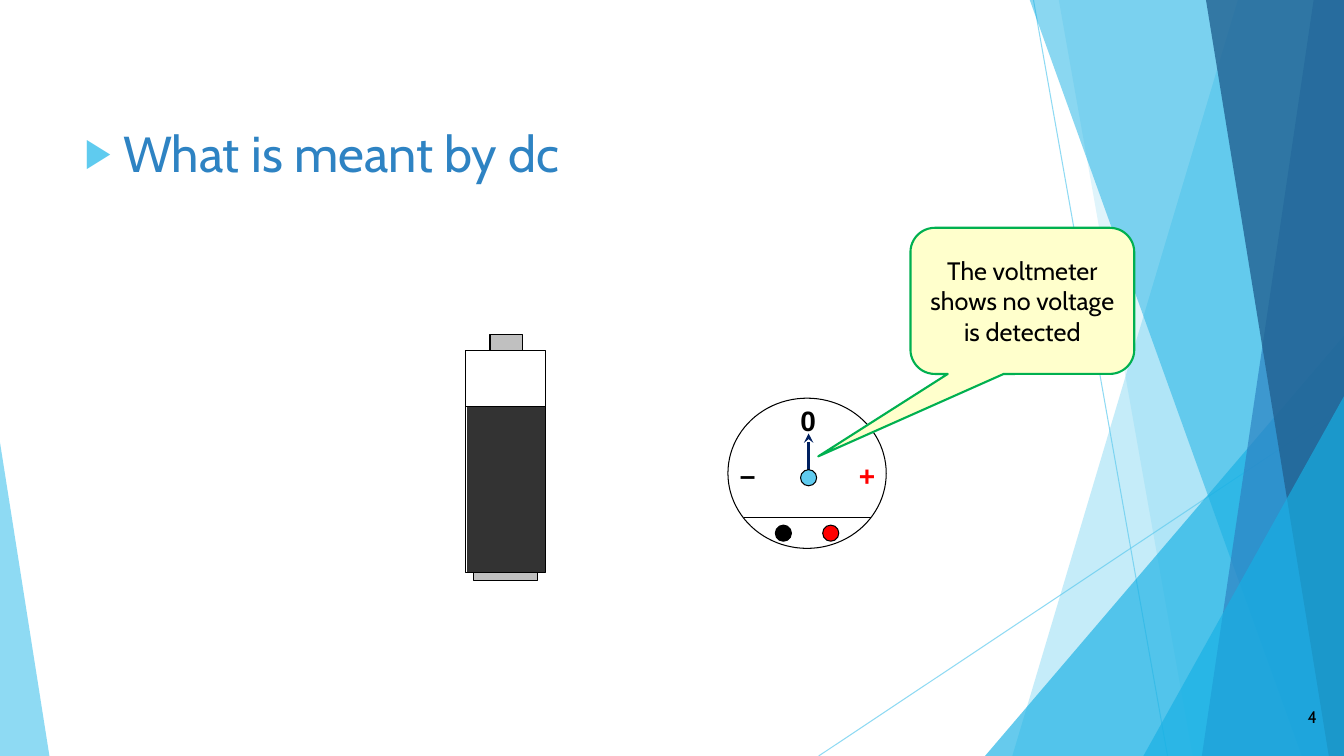
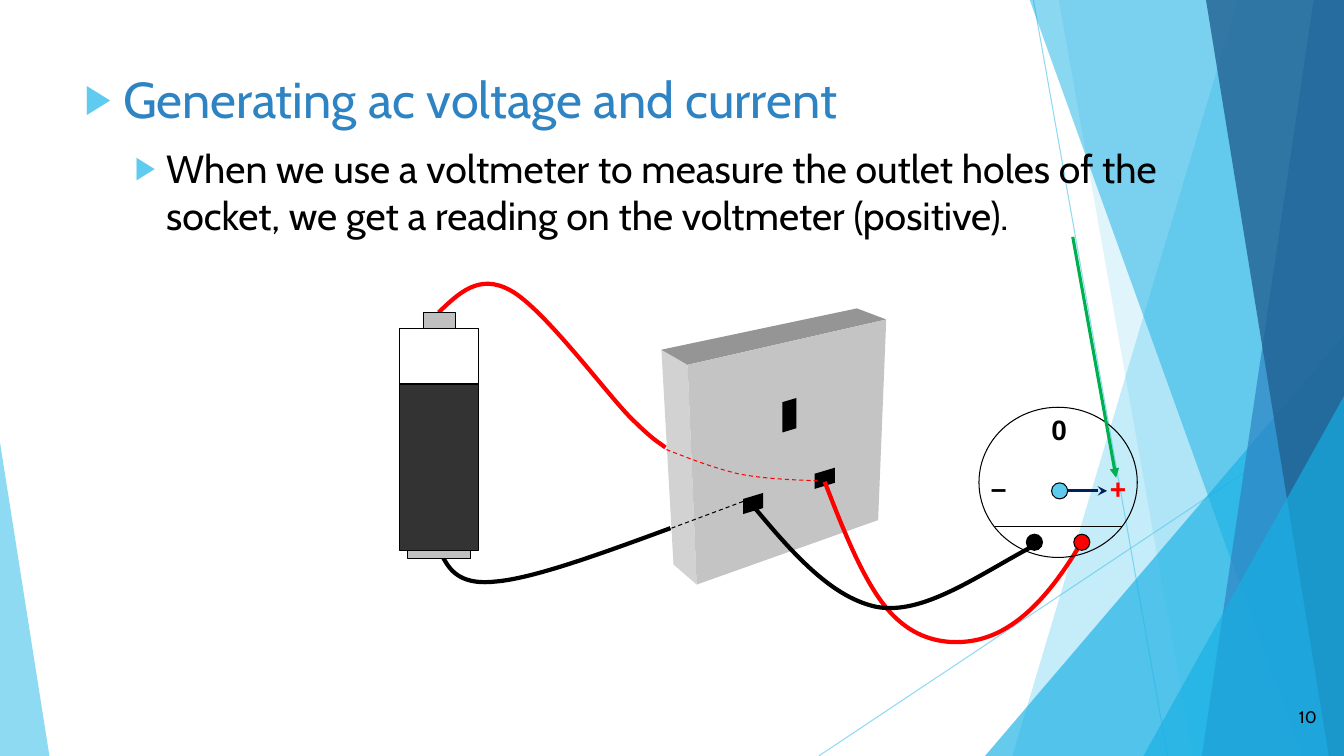
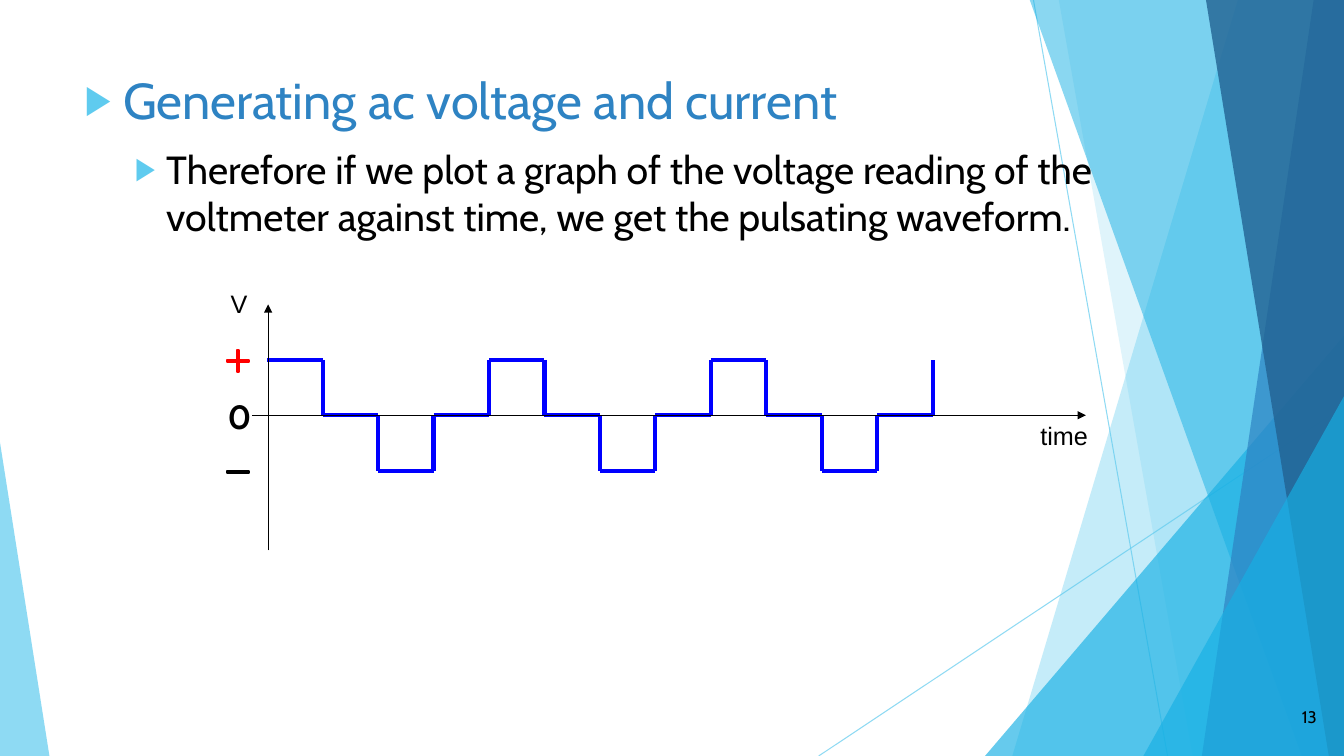
from dataclasses import dataclass
from itertools import pairwise

from lxml import etree
from pptx import Presentation
from pptx.dml.color import RGBColor
from pptx.enum.dml import MSO_LINE, MSO_PATTERN
from pptx.enum.shapes import MSO_CONNECTOR, MSO_SHAPE
from pptx.enum.text import MSO_ANCHOR, MSO_AUTO_SIZE, PP_ALIGN
from pptx.oxml.ns import qn
from pptx.util import Inches, Pt

RECTANGLE, ELLIPSE, TRIANGLE = MSO_SHAPE.RECTANGLE, MSO_SHAPE.OVAL, MSO_SHAPE.ISOSCELES_TRIANGLE
CALLOUT = MSO_SHAPE.ROUNDED_RECTANGULAR_CALLOUT
PLUS, MINUS = MSO_SHAPE.MATH_PLUS, MSO_SHAPE.MATH_MINUS
STRAIGHT = MSO_CONNECTOR.STRAIGHT
DASH = MSO_LINE.DASH
DARK_VERTICAL = MSO_PATTERN.DARK_VERTICAL
LEFT, CENTER, RIGHT = PP_ALIGN.LEFT, PP_ALIGN.CENTER, PP_ALIGN.RIGHT
TOP, MIDDLE = MSO_ANCHOR.TOP, MSO_ANCHOR.MIDDLE
NO_AUTOFIT = MSO_AUTO_SIZE.NONE


@dataclass(frozen=True)
class Theme:
    white: str = "FFFFFF"
    black: str = "000000"
    red: str = "FF0000"
    sky: str = "5FCBEF"
    cyan: str = "17B0E4"
    blue: str = "2E83C3"
    deep_blue: str = "226292"
    navy: str = "002060"
    wave: str = "0000FF"
    green: str = "00B050"
    note: str = "FFFFCC"
    metal: str = "C0C0C0"
    battery: str = "333333"
    socket_front: str = "C4C4C4"
    socket_side: str = "D2D2D2"
    socket_top: str = "959595"
    thin: float = 0.75
    outline: float = 1.5
    arrow: float = 2.25
    thick: float = 3


THEME = Theme()

TEXT_STYLES = {
    "heading": {"name": "Cabin", "size": Pt(36), "bold": False},
    "body": {"name": "Cabin", "size": Pt(28), "bold": False},
    "note": {"name": "Cabin", "size": Pt(18), "bold": False},
    "number": {"name": "Cabin", "size": Pt(12), "bold": False},
    "dial": {"name": "Arial", "size": Pt(20), "bold": True},
    "axis": {"name": "Arial", "size": Pt(18), "bold": False},
    "zero": {"name": "Cabin", "size": Pt(24), "bold": True},
}


def rgb(color):
    return RGBColor.from_string(color)


def inches(values):
    return [Inches(value) for value in values]


def fade(item, percent):
    for color in item.element.iter(qn("a:srgbClr")):
        etree.SubElement(color, qn("a:alpha"), val=str(percent * 1000))


def paint(shape, fill=None, line=None, width=THEME.thin):
    shape.shadow.inherit = False
    if fill:
        shape.fill.solid()
        shape.fill.fore_color.rgb = rgb(fill)
    else:
        shape.fill.background()
    if line:
        shape.line.color.rgb = rgb(line)
        shape.line.width = Pt(width)
    else:
        shape.line.fill.background()
    return shape


def add_preset(shapes, kind, box, fill=None, line=None, width=THEME.thin, adjustments=()):
    shape = shapes.add_shape(kind, *inches(box))
    for index, value in enumerate(adjustments):
        shape.adjustments[index] = value
    return paint(shape, fill, line, width)


def trace(shapes, points, close):
    start, *rest = [inches(point) for point in points]
    builder = shapes.build_freeform(*start, scale=1.0)
    builder.add_line_segments(rest, close=close)
    return builder.convert_to_shape()


def add_polygon(shapes, points, fill):
    return paint(trace(shapes, points, True), fill)


def add_curve(shapes, points, color, width=THEME.thick, dash=None):
    curve = paint(trace(shapes, points, False), None, color, width)
    if dash:
        curve.line.dash_style = dash
    segments = list(curve.element.iter(qn("a:lnTo")))
    outline = segments[0].getparent()
    for first in range(0, len(segments), 3):
        bezier = etree.SubElement(outline, qn("a:cubicBezTo"))
        for segment in segments[first:first + 3]:
            bezier.append(segment[0])
            outline.remove(segment)


def add_line(shapes, start, end, color, width=THEME.thin, dash=None, head=None):
    line = shapes.add_connector(STRAIGHT, *inches([*start, *end]))
    line.line.color.rgb = rgb(color)
    line.line.width = Pt(width)
    if dash:
        line.line.dash_style = dash
    properties = line.element.find(qn("p:spPr"))
    if head:
        etree.SubElement(properties.find(qn("a:ln")), qn("a:tailEnd"), type=head)
    etree.SubElement(properties, qn("a:effectLst"))
    return line


def write(holder, text, style, color, align=LEFT, anchor=TOP):
    frame = holder.text_frame
    frame_format = {"word_wrap": True, "auto_size": NO_AUTOFIT, "vertical_anchor": anchor}
    for name, value in frame_format.items():
        setattr(frame, name, value)
    paragraph = frame.paragraphs[0]
    paragraph.alignment = align
    run = paragraph.add_run()
    run.text = text
    for name, value in TEXT_STYLES[style].items():
        setattr(run.font, name, value)
    run.font.color.rgb = rgb(color)
    return paragraph


def add_label(shapes, box, text, style, color=THEME.black, align=LEFT, anchor=TOP):
    return write(shapes.add_textbox(*inches(box)), text, style, color, align, anchor)


def add_bullet(paragraph, margin, hanging):
    properties = paragraph._p.get_or_add_pPr()
    properties.set("marL", str(Inches(margin)))
    properties.set("indent", str(-Inches(hanging)))
    bullet_color = etree.SubElement(properties, qn("a:buClr"))
    etree.SubElement(bullet_color, qn("a:srgbClr"), val=THEME.sky)
    etree.SubElement(properties, qn("a:buSzPct"), val="80000")
    etree.SubElement(properties, qn("a:buFont"), typeface="Arial")
    etree.SubElement(properties, qn("a:buChar"), char="▶")


def add_backdrop(slide, layout):
    group = slide.shapes.add_group_shape()
    shapes = group.shapes
    for start, end in (((10.25, 0), (11.58, 7.5)), ((13.33, 4.03), (8.12, 7.5))):
        fade(add_line(shapes, start, end, THEME.sky), 70)

    def band(top_left, bottom_left, color, opacity):
        corners = [(top_left, -0.01), (13.33, -0.01), (13.33, 7.5), (bottom_left, 7.5)]
        fade(add_polygon(shapes, corners, color), opacity)

    def wedge(box, color, opacity, apex):
        fade(add_preset(shapes, TRIANGLE, box, color, adjustments=[apex]), opacity)

    band(12.28, 10.04, THEME.sky, 36)
    band(10.5, 11.83, THEME.sky, 20)
    wedge((9.77, 3.33, 3.56, 4.17), THEME.cyan, 66, 1)
    band(10.21, 12.91, THEME.cyan, 50)
    band(13.03, 11.92, THEME.blue, 70)
    band(11.96, 13.18, THEME.deep_blue, 80)
    wedge((11.34, 3.93, 1.99, 3.57), THEME.cyan, 66, 1)
    wedge((0, 4.39, 0.49, 3.11), THEME.sky, 70, 0)
    layout.shapes.element.insert(2, group.element)


def add_page(deck, layout, heading, top, number, body=None):
    slide = deck.slides.add_slide(layout)
    title = slide.shapes.title
    title.left, title.top, title.width, title.height = inches((0.74, top, 11.31, 0.7))
    add_bullet(write(title, heading, "heading", THEME.blue), 0.38, 0.38)
    if body:
        add_bullet(add_label(slide.shapes, (0.74, top + 0.75, 11.31, 1.1), body, "body"), 0.81, 0.31)
    add_label(slide.shapes, (12.41, 6.91, 0.75, 0.4), number, "number", align=RIGHT, anchor=MIDDLE)
    return slide


def add_battery(shapes, left, top):
    parts = [
        (0, 0, 0.79, 0.55, THEME.white),
        (0.24, -0.16, 0.32, 0.16, THEME.metal),
        (0.08, 2.2, 0.63, 0.08, THEME.metal),
        (0, 0.55, 0.79, 1.65, THEME.battery),
    ]
    for x, y, width, height, color in parts:
        part = add_preset(shapes, RECTANGLE, (left + x, top + y, width, height), color, THEME.black)
    part.fill.patterned()
    part.fill.pattern = DARK_VERTICAL
    part.fill.fore_color.rgb = rgb(THEME.battery)
    part.fill.back_color.rgb = rgb(THEME.white)


def add_voltmeter(shapes, left, top, hub_drop, needle):
    hub = (left + 0.8, top + hub_drop)
    add_preset(shapes, ELLIPSE, (left, top, 1.57, 1.49), line=THEME.black)
    marks = [
        (0.02, hub_drop - 0.25, "–", THEME.black, LEFT),
        (0.56, 0, "0", THEME.black, CENTER),
        (1.09, hub_drop - 0.24, "+", THEME.red, RIGHT),
    ]
    for x, y, mark, color, align in marks:
        add_label(shapes, (left + x, top + y, 0.47, 0.43), mark, "dial", color, align)
    tip = (hub[0] + needle[0], hub[1] + needle[1])
    add_line(shapes, hub, tip, THEME.navy, THEME.arrow, head="stealth")
    add_line(shapes, (left + 0.16, top + 1.18), (left + 1.42, top + 1.18), THEME.black)
    knobs = [
        (*hub, THEME.sky),
        (left + 0.55, top + 1.34, THEME.black),
        (left + 1.02, top + 1.34, THEME.red),
    ]
    for x, y, color in knobs:
        add_preset(shapes, ELLIPSE, (x - 0.08, y - 0.08, 0.16, 0.16), color, THEME.black)


def add_socket(shapes):
    back_top, back_bottom, back_right = (6.56, 3.47), (6.68, 5.6), (8.5, 3.06)
    top_left, top_right = (6.82, 3.62), (8.79, 3.17)
    bottom_right, bottom_left = (8.71, 5.16), (6.91, 5.8)
    add_polygon(shapes, [back_top, top_left, bottom_left, back_bottom], THEME.socket_side)
    add_polygon(shapes, [back_top, back_right, top_right, top_left], THEME.socket_top)
    add_polygon(shapes, [top_left, top_right, bottom_right, bottom_left], THEME.socket_front)
    for x, y, width, height in ((7.76, 3.99, 0.14, 0.3), (7.37, 4.95, 0.2, 0.15), (8.08, 4.7, 0.2, 0.15)):
        rise = 0.3 * width
        corners = [(x, y), (x + width, y - rise), (x + width, y + height - rise), (x, y + height)]
        add_polygon(shapes, corners, THEME.black)


def add_wires(shapes):
    add_curve(shapes, [(4.36, 5.46), (4.44, 5.63), (4.53, 5.81), (4.91, 5.77),
                       (5.29, 5.74), (5.97, 5.49), (6.65, 5.24)], THEME.black)
    add_curve(shapes, [(6.61, 4.46), (6.84, 4.55), (7.07, 4.64), (7.32, 4.7),
                       (7.57, 4.75), (7.84, 4.76), (8.11, 4.77)], THEME.red, THEME.thin, DASH)
    add_line(shapes, (6.66, 5.24), (7.41, 4.96), THEME.black, dash=DASH)
    add_curve(shapes, [(8.18, 4.78), (8.4, 5.35), (8.63, 5.93), (8.93, 6.17),
                       (9.22, 6.42), (9.63, 6.42), (9.93, 6.26),
                       (10.23, 6.1), (10.48, 5.8), (10.74, 5.36)], THEME.red)
    add_curve(shapes, [(7.42, 4.96), (7.82, 5.44), (8.22, 5.92), (8.69, 6.02),
                       (9.16, 6.11), (9.71, 5.7), (10.26, 5.41)], THEME.black)
    add_curve(shapes, [(4.35, 3.1), (4.55, 2.91), (4.75, 2.71), (5.06, 2.88),
                       (5.38, 3.05), (5.99, 3.87), (6.24, 4.13),
                       (6.5, 4.39), (6.54, 4.39), (6.6, 4.44)], THEME.red)


def add_waveform(shapes, left, zero, step, cycles):
    levels = [1, 0, -1, 0] * cycles
    corners = []
    for index, level in enumerate(levels):
        y = zero - level * step
        corners += [(left + index * step, y), (left + (index + 1) * step, y)]
    corners.append((left + len(levels) * step, zero - step))
    for start, end in pairwise(corners):
        add_line(shapes, start, end, THEME.wave, THEME.thick)


def add_axes(shapes):
    add_line(shapes, (2.66, 5.46), (2.66, 3.02), THEME.black, head="triangle")
    add_line(shapes, (2.5, 4.12), (10.77, 4.12), THEME.black, head="triangle")
    add_label(shapes, (2.19, 2.81, 0.43, 0.4), "V", "axis")
    add_label(shapes, (10.22, 4.12, 0.71, 0.4), "time", "axis")
    add_label(shapes, (2.16, 3.88, 0.46, 0.5), "0", "zero")
    add_preset(shapes, PLUS, (2.21, 3.43, 0.3, 0.3), THEME.red, THEME.red, THEME.outline, [0.067])
    add_preset(shapes, MINUS, (2.21, 4.64, 0.3, 0.09), THEME.black, THEME.black, THEME.outline)


def main():
    deck = Presentation()
    deck.slide_width, deck.slide_height = Inches(13.33), Inches(7.5)
    layout = deck.slide_layouts[5]

    direct = add_page(deck, layout, "What is meant by dc", 1.16, "4")
    add_backdrop(direct, layout)
    add_battery(direct.shapes, 4.62, 3.48)
    add_voltmeter(direct.shapes, 7.22, 3.95, 0.79, (0, -0.44))
    reading = add_preset(direct.shapes, CALLOUT, (9.03, 2.26, 2.22, 1.45), THEME.note,
                         THEME.green, THEME.outline, [-0.912, 1.064, 0.167])
    write(reading, "The voltmeter shows no voltage is detected", "note", THEME.black, CENTER, MIDDLE)

    alternating = "Generating ac voltage and current"
    measuring = add_page(
        deck, layout, alternating, 0.63, "10",
        "When we use a voltmeter to measure the outlet holes of the socket, "
        "we get a reading on the voltmeter (positive).")
    add_socket(measuring.shapes)
    add_wires(measuring.shapes)
    add_battery(measuring.shapes, 3.96, 3.26)
    add_voltmeter(measuring.shapes, 9.71, 4.04, 0.83, (0.47, 0))
    add_line(measuring.shapes, (10.64, 2.35), (11.07, 4.74), THEME.green, THEME.arrow, head="triangle")

    plotting = add_page(
        deck, layout, alternating, 0.64, "13",
        "Therefore if we plot a graph of the voltage reading of the voltmeter "
        "against time, we get the pulsating waveform.")
    add_waveform(plotting.shapes, 2.65, 4.12, 0.55, 3)
    add_axes(plotting.shapes)

    deck.save("out.pptx")


if __name__ == "__main__":
    main()
